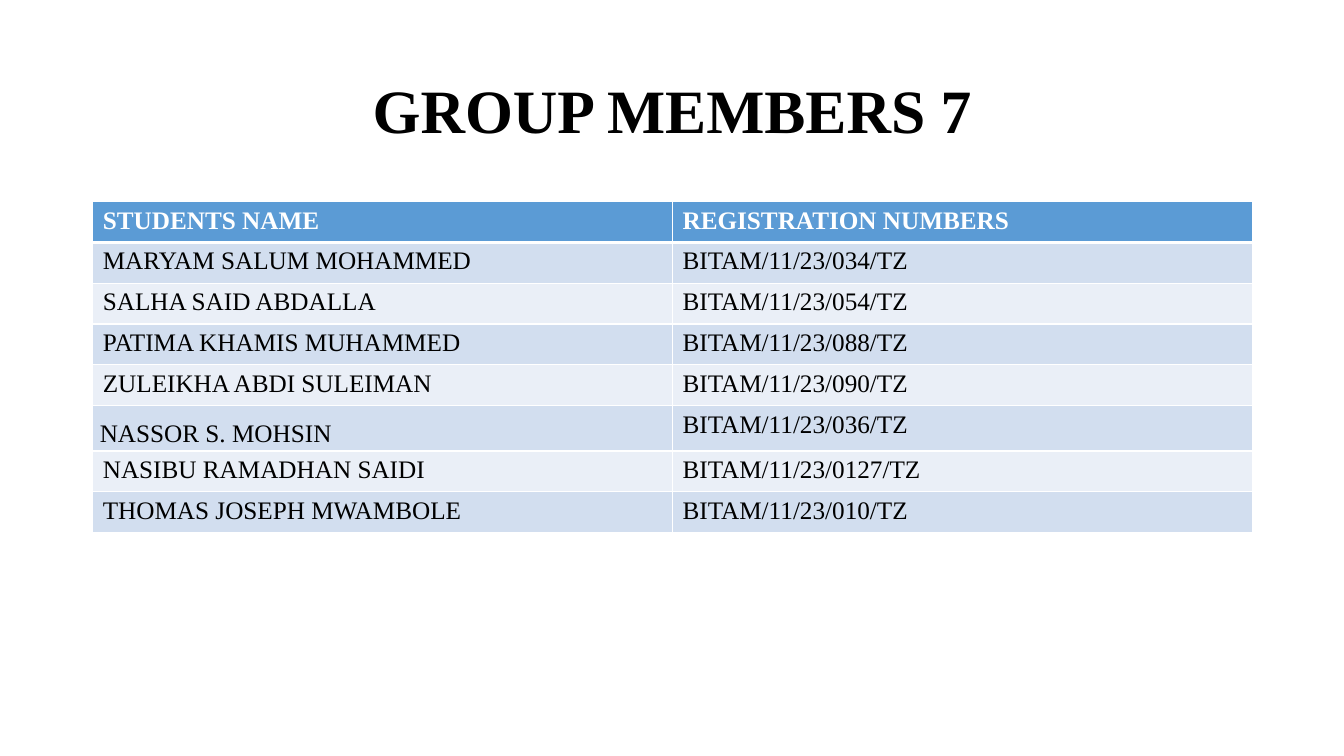
from lxml.etree import SubElement
from pptx import Presentation
from pptx.dml.color import RGBColor
from pptx.enum.text import MSO_ANCHOR, PP_ALIGN
from pptx.oxml.ns import qn
from pptx.util import Inches, Pt

TITLE = "GROUP MEMBERS 7"
HEADER = ("STUDENTS NAME", "REGISTRATION NUMBERS")
MEMBERS = [
    ("MARYAM SALUM MOHAMMED", "BITAM/11/23/034/TZ"),
    ("SALHA SAID ABDALLA", "BITAM/11/23/054/TZ"),
    ("PATIMA KHAMIS MUHAMMED", "BITAM/11/23/088/TZ"),
    ("ZULEIKHA ABDI SULEIMAN", "BITAM/11/23/090/TZ"),
    ("NASSOR S. MOHSIN", "BITAM/11/23/036/TZ"),
    ("NASIBU RAMADHAN SAIDI", "BITAM/11/23/0127/TZ"),
    ("THOMAS JOSEPH MWAMBOLE", "BITAM/11/23/010/TZ"),
]
LOOSE_NAME = "NASSOR S. MOHSIN"  # set with wider line spacing and tighter margins

FONT = "Times New Roman"
BLACK = RGBColor(0x00, 0x00, 0x00)
WHITE = RGBColor(0xFF, 0xFF, 0xFF)
HEADER_BLUE = RGBColor(0x5B, 0x9B, 0xD5)
BANDS = (RGBColor(0xEA, 0xEF, 0xF7), RGBColor(0xD2, 0xDE, 0xEF))

SLIDE_WIDTH, SLIDE_HEIGHT = Inches(13.33), Inches(7.5)
LEFT, WIDTH = Inches(0.92), Inches(11.5)
TITLE_TOP, TITLE_HEIGHT = Inches(0.4), Inches(1.45)
TABLE_TOP, TABLE_HEIGHT = Inches(2), Inches(3.24)


def style_font(paragraph, size, color, bold):
    font = paragraph.font
    font.name, font.size, font.bold = FONT, Pt(size), bold
    font.color.rgb = color


def add_borders(cell, bottom_width):
    """Draw white lines around a cell; call before filling it."""
    properties = cell._tc.get_or_add_tcPr()
    for side, width in (("L", 1), ("R", 1), ("T", 1), ("B", bottom_width)):
        line = SubElement(properties, qn(f"a:ln{side}"), w=str(Pt(width)))
        fill = SubElement(line, qn("a:solidFill"))
        SubElement(fill, qn("a:srgbClr"), val=str(WHITE))


def add_title(slide):
    box = slide.shapes.add_textbox(LEFT, TITLE_TOP, WIDTH, TITLE_HEIGHT)
    frame = box.text_frame
    frame.word_wrap = True
    frame.vertical_anchor = MSO_ANCHOR.MIDDLE
    paragraph = frame.paragraphs[0]
    paragraph.text = TITLE
    paragraph.alignment = PP_ALIGN.CENTER
    paragraph.line_spacing = 0.9
    style_font(paragraph, 44, BLACK, True)


def add_members(slide):
    rows = [HEADER, *MEMBERS]
    table = slide.shapes.add_table(
        len(rows), len(HEADER), LEFT, TABLE_TOP, WIDTH, TABLE_HEIGHT).table
    for row_index, row in enumerate(rows):
        is_header = row_index == 0
        for column_index, text in enumerate(row):
            cell = table.cell(row_index, column_index)
            # The line under the header is thick, and shared with the first member row.
            add_borders(cell, 3 if is_header else 1)
            if row_index == 1:
                cell._tc.tcPr.find(qn("a:lnT")).set("w", str(Pt(3)))
            cell.fill.solid()
            cell.fill.fore_color.rgb = HEADER_BLUE if is_header else BANDS[row_index % 2]
            paragraph = cell.text_frame.paragraphs[0]
            paragraph.text = text
            style_font(paragraph, 18, WHITE if is_header else BLACK, is_header)
            if text == LOOSE_NAME:
                paragraph.line_spacing = 1.5
                cell.margin_left = cell.margin_right = Inches(0.07)
                cell.margin_top = cell.margin_bottom = 0


def main():
    presentation = Presentation()
    presentation.slide_width, presentation.slide_height = SLIDE_WIDTH, SLIDE_HEIGHT
    slide = presentation.slides.add_slide(presentation.slide_layouts[6])
    add_title(slide)
    add_members(slide)
    presentation.save("out.pptx")


if __name__ == "__main__":
    main()
